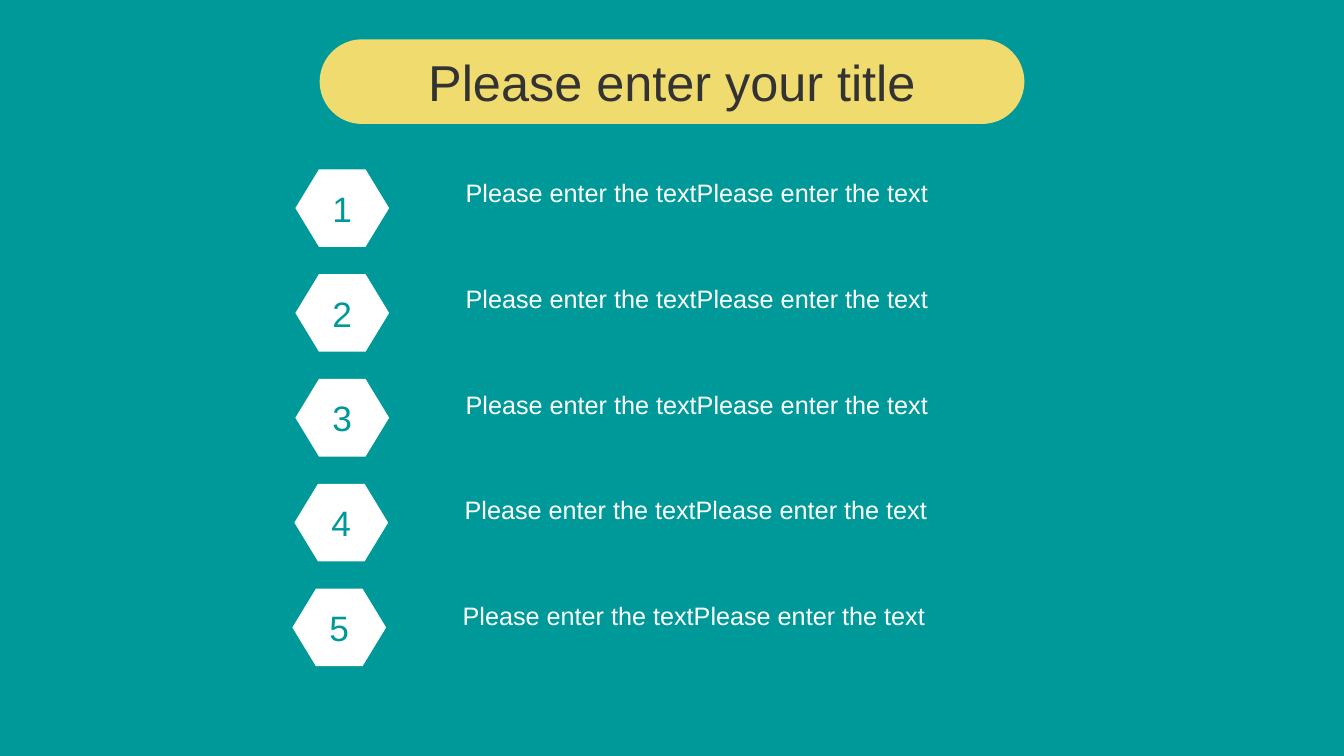
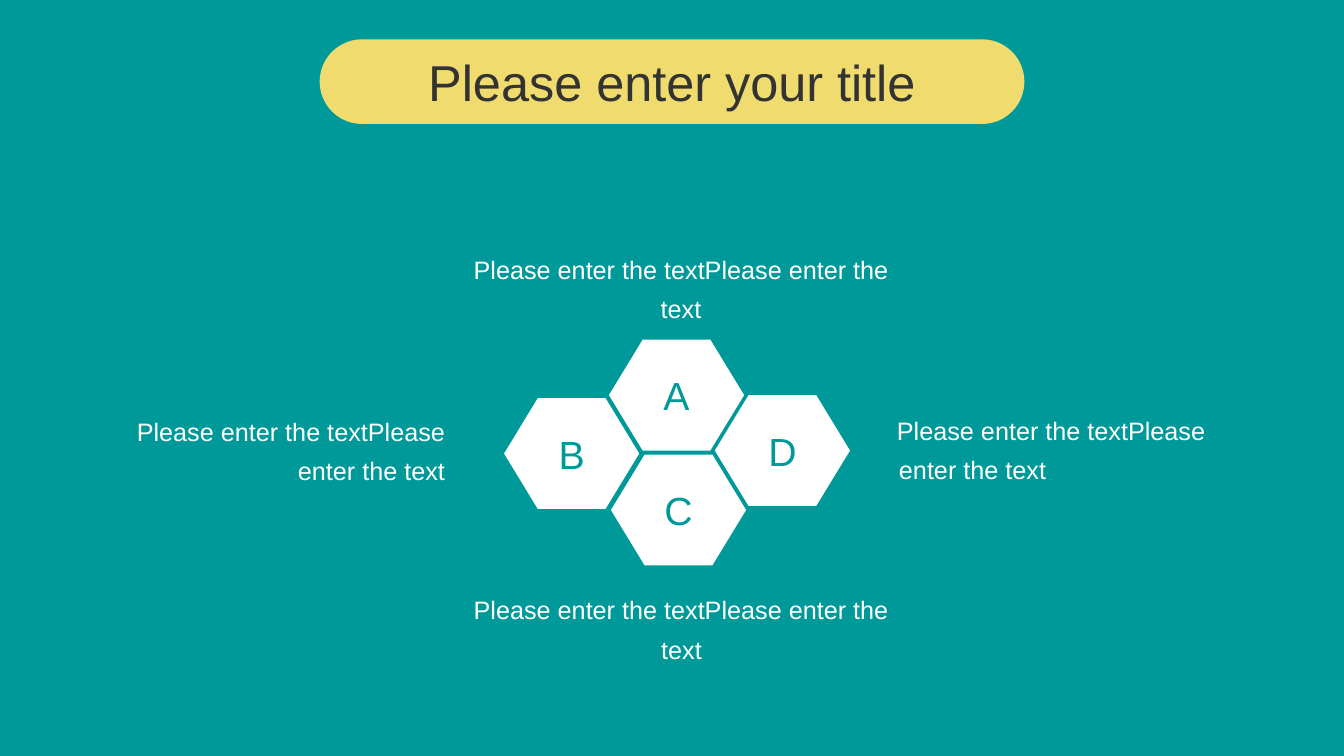
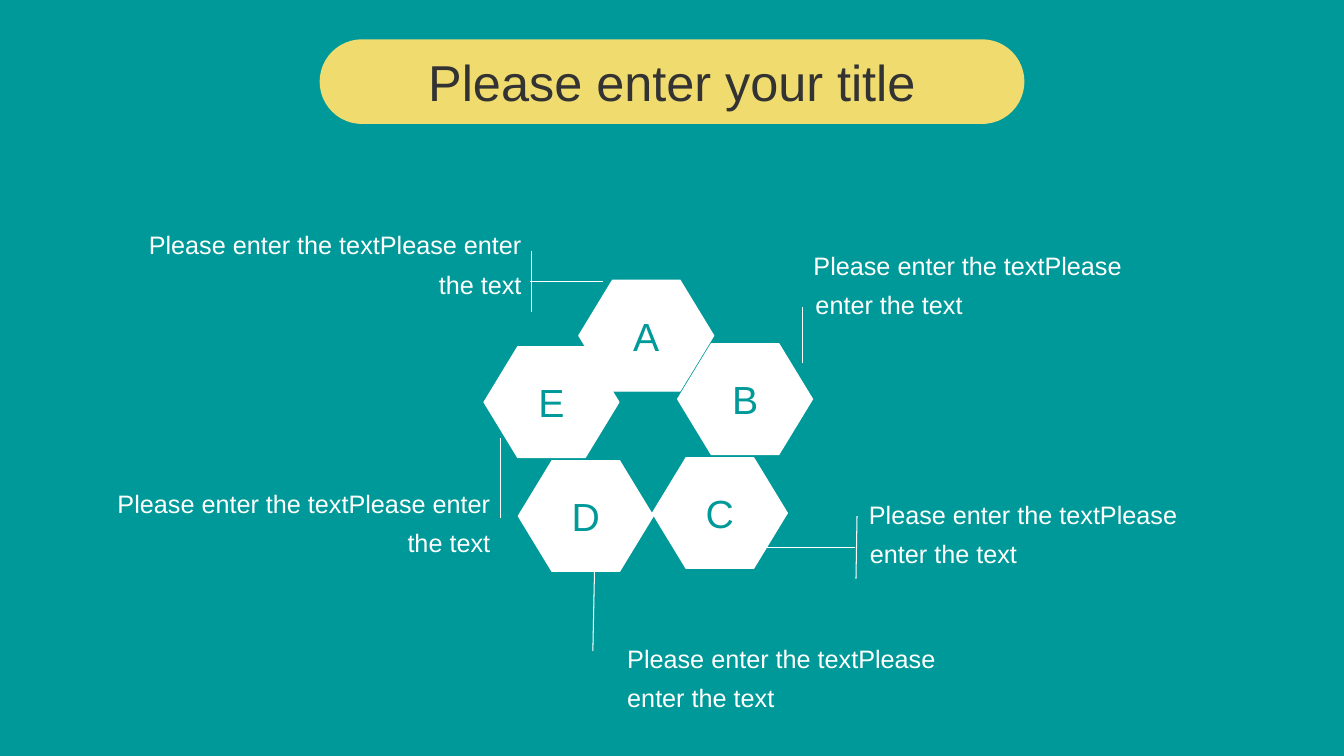
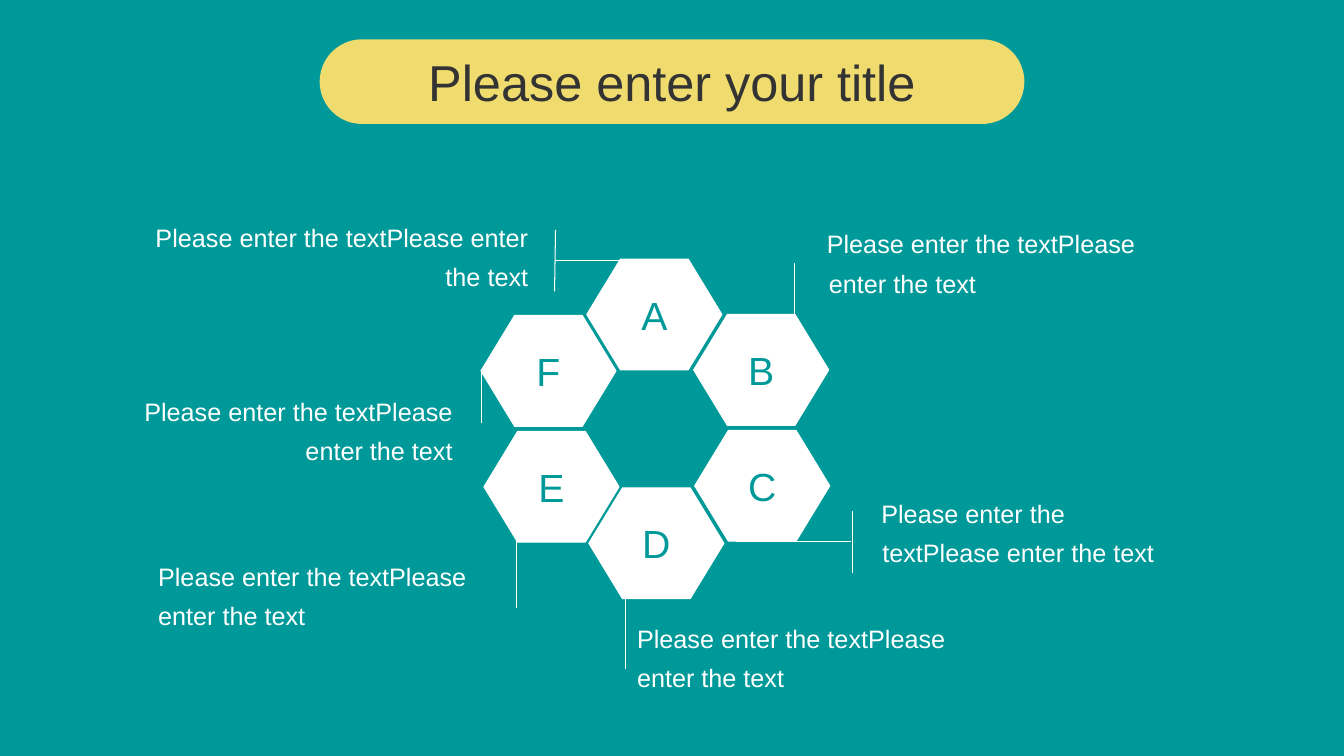
from dataclasses import dataclass

from lxml import etree
from pptx import Presentation
from pptx.dml.color import RGBColor
from pptx.enum.shapes import MSO_CONNECTOR, MSO_SHAPE
from pptx.enum.text import MSO_ANCHOR, PP_ALIGN
from pptx.oxml.ns import qn
from pptx.util import Pt

LEFT, CENTER, RIGHT = PP_ALIGN.LEFT, PP_ALIGN.CENTER, PP_ALIGN.RIGHT
TOP, MIDDLE, BOTTOM = MSO_ANCHOR.TOP, MSO_ANCHOR.MIDDLE, MSO_ANCHOR.BOTTOM
HEXAGON, PILL = MSO_SHAPE.HEXAGON, MSO_SHAPE.ROUNDED_RECTANGLE
STRAIGHT = MSO_CONNECTOR.STRAIGHT

EMU_PER_PX = 9144
SLIDE_SIZE = (1333, 750)
TITLE_BOX = (317, 39, 699, 84)
LIST_BOX = (290, 162, 763, 526)
DIAGRAM_BOX = (90, 170, 1150, 570)
TITLE = "Please enter your title"
NOTE = "Please enter the textPlease enter the text"


@dataclass(frozen=True)
class Theme:
    teal: RGBColor = RGBColor(0x00, 0x99, 0x99)
    yellow: RGBColor = RGBColor(0xF0, 0xDB, 0x6E)
    white: RGBColor = RGBColor(0xFF, 0xFF, 0xFF)
    dark: RGBColor = RGBColor(0x33, 0x33, 0x33)
    font: str = "Arial"
    title_size: float = 36
    letter_size: float = 28
    number_size: float = 25.2
    note_size: float = 18
    note_spacing: float = 1.3
    note_before: float = 3.6
    line_width: float = 0.75


THEME = Theme()


def px(*values):
    return [round(v * EMU_PER_PX) for v in values]


def write(sp, text, *, size, color, align=LEFT, anchor=MIDDLE,
          spacing=None, before=None, hang=0, block_centered=False):
    tf = sp.text_frame
    tf.word_wrap = True
    tf.vertical_anchor = anchor
    if block_centered:
        tf._txBody.bodyPr.set("anchorCtr", "1")
    p = tf.paragraphs[0]
    p.alignment = align
    if spacing:
        p.line_spacing = spacing
    if before:
        p.space_before = Pt(before)
    if hang:
        indent, = px(hang)
        pPr = p._p.get_or_add_pPr()
        pPr.set("marL", str(indent))
        pPr.set("indent", str(-indent))
    r = p.add_run()
    r.text = text
    r.font.name = THEME.font
    r.font.size = Pt(size)
    r.font.color.rgb = color


def add_filled(shapes, kind, box, color, adjust, outlined=False):
    sp = shapes.add_shape(kind, *px(*box))
    sp.shadow.inherit = False
    sp.adjustments[0] = adjust
    sp.fill.solid()
    sp.fill.fore_color.rgb = color
    if outlined:
        sp.line.color.rgb = color
        sp.line.width = Pt(THEME.line_width)
    else:
        sp.line.fill.background()
    return sp


def add_hexagon(shapes, box, label, size, outlined=False):
    sp = add_filled(shapes, HEXAGON, box, THEME.white, 0.304, outlined)
    write(sp, label, size=size, color=THEME.teal, align=CENTER)


def add_note(shapes, box, **fmt):
    sp = shapes.add_textbox(*px(*box))
    write(sp, NOTE, size=THEME.note_size, color=THEME.white,
          spacing=THEME.note_spacing, before=THEME.note_before, **fmt)


def add_leader(shapes, box, segments):
    x, y = box[:2]
    if len(segments) > 1:
        shapes = shapes.add_group_shape().shapes
    for x1, y1, x2, y2 in segments:
        sp = shapes.add_connector(STRAIGHT, *px(x + x1, y + y1, x + x2, y + y2))
        sp.line.color.rgb = THEME.white
        sp.line.width = Pt(THEME.line_width)
        etree.SubElement(sp.element.spPr, qn("a:effectLst"))


def add_title(shapes, box):
    sp = add_filled(shapes, PILL, box, THEME.yellow, 0.5)
    write(sp, TITLE, size=THEME.title_size, color=THEME.dark, align=CENTER)


def add_numbered_list(shapes, box, shifts):
    x, y = box[:2]
    for i, shift in enumerate(shifts):
        left = x + shift
        add_hexagon(shapes, (left, y + 6 + 104 * i, 93, 77), str(i + 1),
                    THEME.number_size)
        add_note(shapes, (left + 159, y + 105 * i, 601, 106), anchor=TOP)


def add_diagram(shapes, box, hexagons, notes, leaders=()):
    x, y = box[:2]
    for label, (dx, dy) in hexagons.items():
        add_hexagon(shapes, (x + dx, y + dy, 134, 110), label,
                    THEME.letter_size, outlined=bool(leaders))
    for segments in leaders:
        add_leader(shapes, box, segments)
    for (dx, dy, w, h), fmt in notes:
        add_note(shapes, (x + dx, y + dy, w, h), **fmt)


DIAGRAMS = [
    dict(
        hexagons={"A": (514, 167), "B": (410, 225), "C": (516, 281), "D": (619, 222)},
        notes=[
            ((349, 5, 473, 151), dict(align=CENTER, anchor=BOTTOM)),
            ((4, 173, 389, 199), dict(align=RIGHT, block_centered=True)),
            ((349, 406, 473, 151), dict(align=CENTER, anchor=TOP, hang=1)),
            ((760, 172, 389, 199), dict(hang=2, block_centered=True)),
        ],
    ),
    dict(
        hexagons={"A": (484, 108), "B": (582, 171), "C": (557, 284),
                  "D": (424, 287), "E": (390, 174)},
        leaders=[
            [(437, 140, 437, 79), (436, 109, 508, 109)],
            [(706, 190, 706, 135)],
            [(644, 373, 758, 373), (759, 404, 760, 342)],
            [(498, 476, 500, 379)],
            [(406, 344, 406, 265)],
        ],
        notes=[
            ((32, 21, 405, 134), dict(align=RIGHT)),
            ((707, 41, 370, 134), dict(hang=2)),
            ((762, 288, 370, 134), dict(hang=1)),
            ((500, 431, 370, 134), dict(block_centered=True)),
            ((1, 277, 405, 134), dict(align=RIGHT)),
        ],
    ),
    dict(
        hexagons={"A": (492, 87), "B": (598, 142), "C": (599, 257),
                  "D": (494, 314), "E": (390, 258), "F": (387, 143)},
        leaders=[
            [(460, 119, 461, 58), (460, 88, 563, 88)],
            [(698, 145, 698, 91)],
            [(640, 367, 754, 367), (756, 398, 756, 337)],
            [(530, 494, 530, 415)],
            [(422, 433, 422, 354)],
            [(388, 250, 388, 196)],
        ],
        notes=[
            ((38, 19, 422, 123), dict(align=RIGHT, block_centered=True)),
            ((703, 20, 364, 134), dict(hang=2, block_centered=True)),
            ((758, 287, 323, 134), dict(hang=1, block_centered=True)),
            ((532, 434, 370, 134), dict(anchor=TOP)),
            ((57, 373, 364, 134), dict(anchor=TOP)),
            ((24, 186, 364, 134), dict(align=RIGHT, block_centered=True)),
        ],
    ),
]


def add_slide(prs):
    shapes = prs.slides.add_slide(prs.slide_layouts[6]).shapes
    add_title(shapes, TITLE_BOX)
    return shapes


def main():
    prs = Presentation()
    prs.slide_width, prs.slide_height = px(*SLIDE_SIZE)
    fill = prs.slide_master.background.fill
    fill.solid()
    fill.fore_color.rgb = THEME.teal

    add_numbered_list(add_slide(prs), LIST_BOX, shifts=(3, 3, 3, 2, 0))
    for diagram in DIAGRAMS:
        add_diagram(add_slide(prs), DIAGRAM_BOX, **diagram)
    prs.save("out.pptx")


if __name__ == "__main__":
    main()
